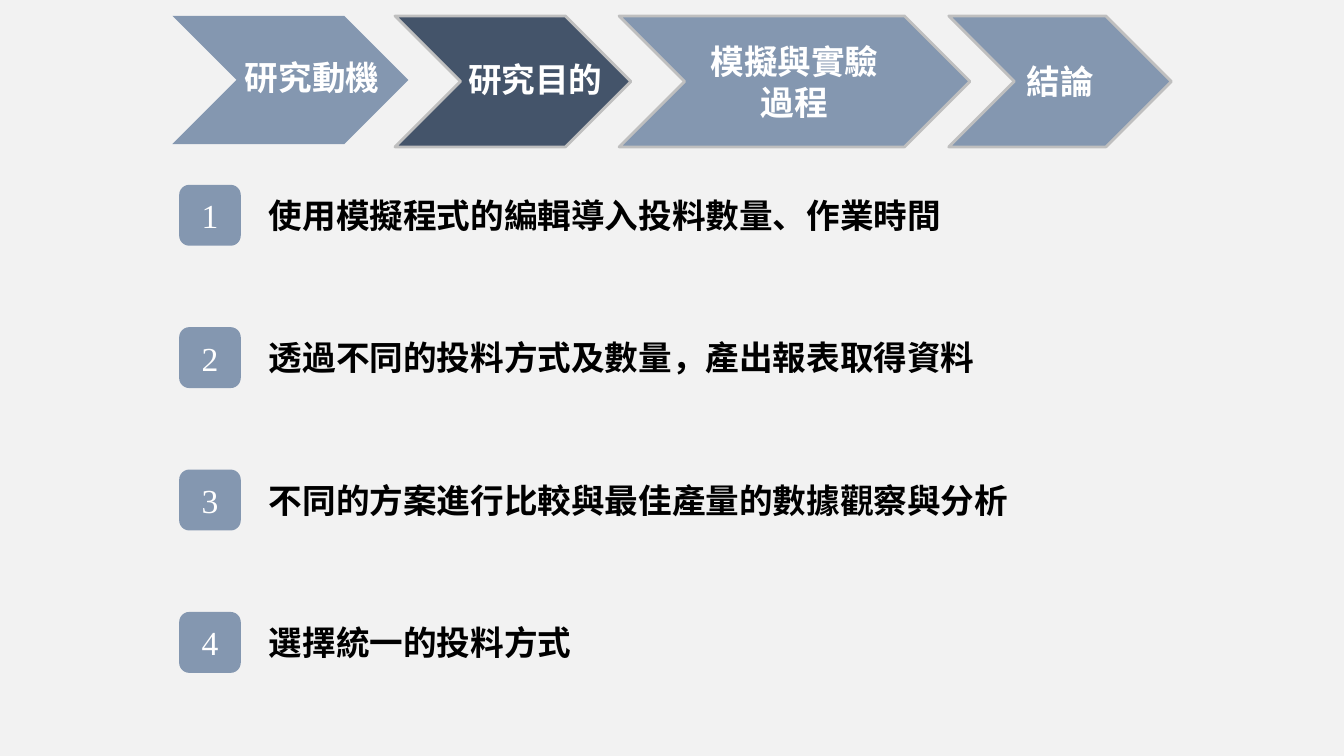
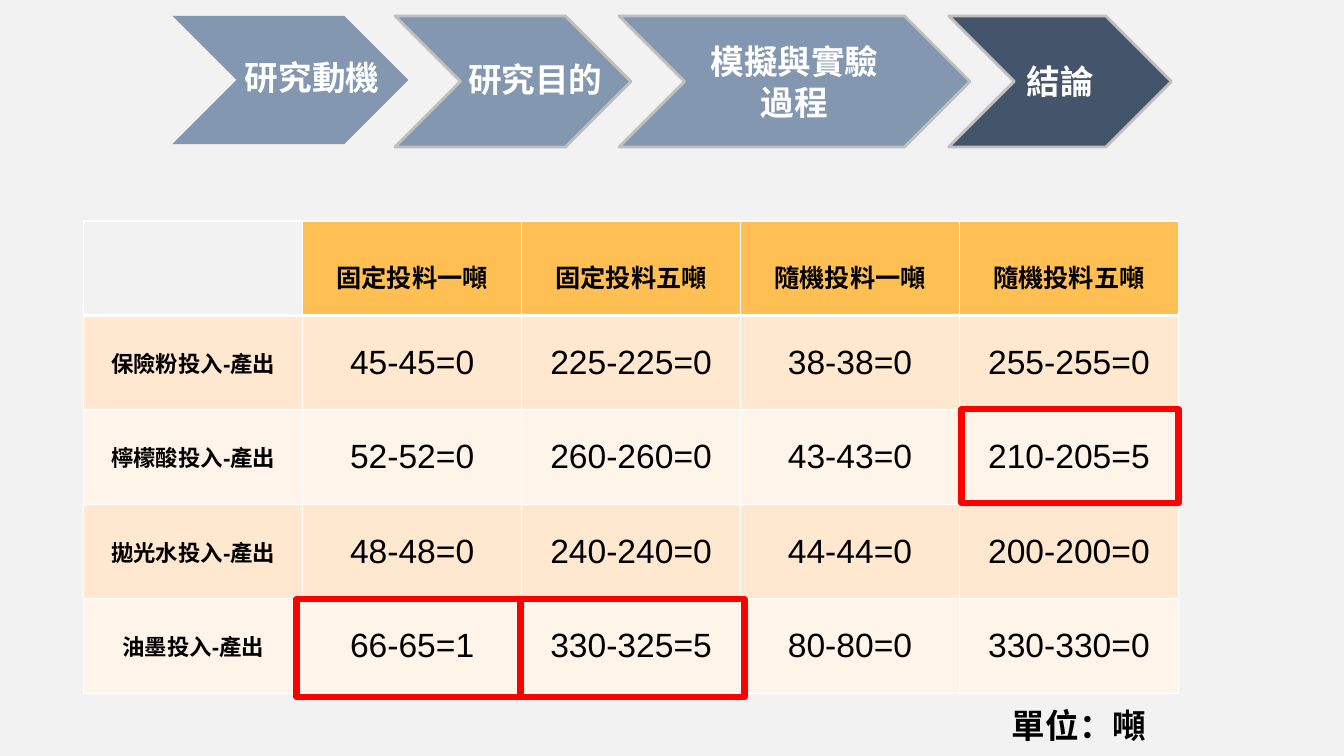
from pptx import Presentation
from pptx.dml.color import RGBColor
from pptx.enum.shapes import MSO_SHAPE
from pptx.enum.text import MSO_ANCHOR, PP_ALIGN
from pptx.oxml import parse_xml
from pptx.oxml.ns import nsdecls, qn
from pptx.util import Pt
from lxml.etree import SubElement

HEX = {"back": "F2F2F2", "step": "8497B0", "now": "44546A", "edge": "BFBFBF",
       "white": "FFFFFF", "black": "000000", "head": "FFBF53",
       "odd": "FFE8CF", "even": "FFF4E9", "mark": "FF0000"}
SANS_TC, SANS_SC = "Noto Sans CJK TC", "Noto Sans CJK SC"

# Chevron steps: label, box in the band, line width, own label box, left inset
STEPS = [
    ("研究動機", (0, 0, 168.5, 91.5), 0, (41.8, 0, 111, 91.5), 7.2),
    ("研究目的", (159, 0, 168.5, 93.6), 2, (203, 1.5, 108, 91.5), 6.5),
    ("模擬與實驗過程", (319, 0, 250.6, 93.6), 2, None, 7.2),
    ("結論", (554.5, 0, 159, 93.6), 2, None, 7.2),
]
AIMS = ["使用模擬程式的編輯導入投料數量、作業時間",
        "透過不同的投料方式及數量，產出報表取得資料",
        "不同的方案進行比較與最佳產量的數據觀察與分析",
        "選擇統一的投料方式"]
ROWS = [
    ["", "固定投料一噸", "固定投料五噸", "隨機投料一噸", "隨機投料五噸"],
    ["保險粉投入-產出", "45-45=0", "225-225=0", "38-38=0", "255-255=0"],
    ["檸檬酸投入-產出", "52-52=0", "260-260=0", "43-43=0", "210-205=5"],
    ["拋光水投入-產出", "48-48=0", "240-240=0", "44-44=0", "200-200=0"],
    ["油墨投入-產出", "66-65=1", "330-325=5", "80-80=0", "330-330=0"],
]
# Red frames, measured from the table's corner
MARKS = [(152, 270, 160, 70), (312, 270, 160, 70), (627, 134.6, 155, 67)]


def tint(name):
    return RGBColor.from_string(HEX[name])


def place(box, dx=0, dy=0):
    x, y, w, h = box
    return Pt(x + dx), Pt(y + dy), Pt(w), Pt(h)


def write(frame, text, size, font, hue, bold=True, mid=True, east=None):
    frame.word_wrap = True
    para = frame.paragraphs[0]
    para.alignment = PP_ALIGN.CENTER if mid else PP_ALIGN.LEFT
    run = para.add_run()
    run.text = text
    run.font.size, run.font.name, run.font.bold = Pt(size), font, bold
    run.font.color.rgb = tint(hue)
    SubElement(run.font._element, qn("a:ea"), typeface=east or font)
    return para


def add_form(shapes, kind, box, fill=None, line=None, width=0):
    form = shapes.add_shape(kind, *box)
    form.shadow.inherit = False
    if fill:
        form.fill.solid()
        form.fill.fore_color.rgb = tint(fill)
    else:
        form.fill.background()
    if width:
        form.line.color.rgb = tint(line)
        form.line.width = Pt(width)
    else:
        form.line.fill.background()
    return form


def add_note(shapes, box, text, font, **style):
    note = shapes.add_textbox(*box)
    write(note.text_frame, text, 24, font, style.pop("hue", "black"), **style)
    return note.text_frame


# Band of chevrons at the top of each slide
def add_steps(slide, left, top, now):
    shapes = slide.shapes.add_group_shape().shapes
    for spot, (text, box, width, label, inset) in enumerate(STEPS):
        form = add_form(shapes, MSO_SHAPE.CHEVRON, place(box, left, top),
                        "now" if spot == now else "step", "edge", width)
        if not label:
            write(form.text_frame, text, 24, SANS_TC, "white")
            form.text_frame.vertical_anchor = MSO_ANCHOR.MIDDLE
            continue
        frame = add_note(shapes, place(label, left, top), text, SANS_TC, hue="white")
        frame.paragraphs[0].line_spacing = 0.9
        frame.vertical_anchor = MSO_ANCHOR.MIDDLE
        frame.margin_left = Pt(inset)
        frame.margin_top = frame.margin_right = frame.margin_bottom = Pt(2.2)


# Numbered aims, one under another
def add_aims(slide, left, top, pitch):
    for spot, text in enumerate(AIMS):
        y = top + spot * pitch
        badge = add_form(slide.shapes, MSO_SHAPE.ROUNDED_RECTANGLE,
                         place((left, y, 44, 43.5)), "step")
        write(badge.text_frame, str(spot + 1), 24, "Times New Roman", "white", bold=False)
        badge.text_frame.vertical_anchor = MSO_ANCHOR.MIDDLE
        add_note(slide.shapes, place((left + 57, y + 3.6, 588, 36)), text,
                 SANS_SC, mid=False)


def edge_cell(cell, head):
    props = cell._tc.get_or_add_tcPr()
    for spot, side in enumerate("LRTB"):
        width = 3 if head and side == "B" else 1
        props.insert(spot, parse_xml(
            f'<a:ln{side} {nsdecls("a")} w="{Pt(width)}"><a:solidFill>'
            f'<a:srgbClr val="{HEX["white"]}"/></a:solidFill></a:ln{side}>'))


# Table of inputs less outputs, with frames and unit
def add_grid(slide, left, top, wide, high):
    grid = slide.shapes.add_table(len(ROWS), len(ROWS[0]),
                                  *place((left, top, wide, high))).table
    grid.first_row = grid.horz_banding = False
    for col in grid.columns:
        col.width = Pt(wide / len(ROWS[0]))
    for r, row in enumerate(ROWS):
        grid.rows[r].height = Pt(high / len(ROWS))
        for c, text in enumerate(row):
            cell = grid.cell(r, c)
            cell.vertical_anchor = MSO_ANCHOR.MIDDLE
            if text:
                cell.fill.solid()
                cell.fill.fore_color.rgb = tint("head" if r == 0 else "odd" if r % 2 else "even")
                size = 18 if r == 0 else 24 if c else 16
                write(cell.text_frame, text, size, "Arial", "black",
                      bold=r == 0 or c == 0, east=SANS_TC)
            else:
                cell.fill.background()
            if r == 0:
                cell.margin_top = Pt(15)
            edge_cell(cell, r == 0)
    add_note(slide.shapes, place((left + 656, top + 342, 150, 36)), "單位：噸",
             "Arial", mid=False, east=SANS_TC)
    for box in MARKS:
        add_form(slide.shapes, MSO_SHAPE.RECTANGLE, place(box, left, top),
                 line="mark", width=4.5)


def main():
    deck = Presentation()
    deck.slide_width, deck.slide_height = Pt(960), Pt(540)
    back = deck.slide_master.background.fill
    back.solid()
    back.fore_color.rgb = tint("back")
    blank = deck.slide_layouts[6]

    # Aims
    slide = deck.slides.add_slide(blank)
    add_steps(slide, 123.2, 11.4, now=1)
    add_aims(slide, 128, 132, 101.7)

    # Results
    slide = deck.slides.add_slide(blank)
    add_steps(slide, 123.2, 11.4, now=3)
    add_grid(slide, 59.8, 157.8, 782, 337.5)
    deck.save("out.pptx")


if __name__ == "__main__":
    main()
